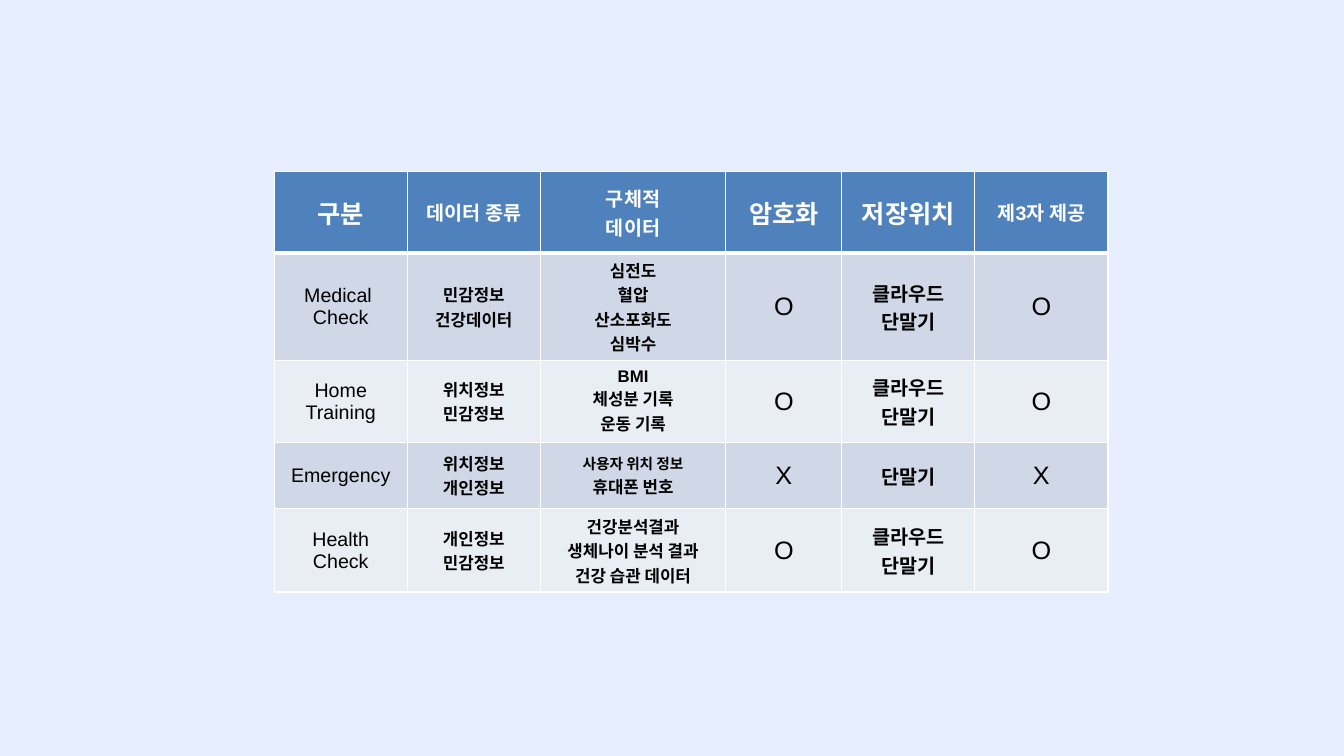
from lxml import etree
from pptx import Presentation
from pptx.dml.color import RGBColor
from pptx.enum.text import MSO_ANCHOR, PP_ALIGN
from pptx.oxml.ns import qn
from pptx.util import Inches, Pt

CENTER = PP_ALIGN.CENTER
MIDDLE = MSO_ANCHOR.MIDDLE

BACKGROUND, HEADER = "E7EEFF", "4F81BD"
BANDS = ("D0D8E8", "E9EDF4")
WHITE, BLACK = "FFFFFF", "000000"

COL_WIDTHS = (1.32, 1.32, 1.84, 1.15, 1.32, 1.32)
ROW_HEIGHTS = (0.81, 0.81, 0.81, 0.66, 0.81)
HEADER_SIZES = (18, 14, 14, 18, 18, 14)
BODY_SIZES = (14, 12, 12, 18, 14, 18)
BODY_BOLD = (False, True, True, False, True, False)
SPECIAL_SIZES = {"사용자 위치 정보": 10.5}

ROWS = (
    ("구분", "데이터 종류", "구체적\n데이터", "암호화", "저장위치", "제3자 제공"),
    ("Medical \nCheck", "민감정보\n건강데이터", "심전도\n혈압\n산소포화도\n심박수",
     "O", "클라우드\n단말기", "O"),
    ("Home\nTraining", "위치정보\n민감정보", "BMI\n체성분 기록\n운동 기록",
     "O", "클라우드\n단말기", "O"),
    ("Emergency", "위치정보\n개인정보", "사용자 위치 정보\n휴대폰 번호",
     "X", "단말기", "X"),
    ("Health\nCheck", "개인정보\n민감정보", "건강분석결과\n생체나이 분석 결과\n건강 습관 데이터",
     "O", "클라우드\n단말기", "O"),
)


def rgb(value):
    return RGBColor.from_string(value)


class SlideBuilder:
    font = "Arial"

    def __init__(self, prs):
        self.s = prs.slides.add_slide(prs.slide_layouts[6])

    def background(self, color):
        fill = self.s.background.fill
        fill.solid()
        fill.fore_color.rgb = rgb(color)

    def borders(self, cell, top, bottom):
        tcPr = cell._tc.get_or_add_tcPr()
        for side, width in (("L", 1), ("R", 1), ("T", top), ("B", bottom)):
            ln = etree.SubElement(tcPr, qn(f"a:ln{side}"), w=str(Pt(width)))
            fill = etree.SubElement(ln, qn("a:solidFill"))
            etree.SubElement(fill, qn("a:srgbClr"), val=WHITE)

    def cell(self, cell, text, size, bold, color, fill):
        cell.fill.solid()
        cell.fill.fore_color.rgb = rgb(fill)
        cell.vertical_anchor = MIDDLE
        tf = cell.text_frame
        tf.text = text
        for p in tf.paragraphs:
            p.alignment = CENTER
            p.font.name = self.font
            p.font.size = Pt(SPECIAL_SIZES.get(p.text, size))
            p.font.bold = bold
            p.font.color.rgb = rgb(color)

    def table(self, left, top, rows):
        frame = self.s.shapes.add_table(
            len(rows), len(COL_WIDTHS), Inches(left), Inches(top),
            Inches(sum(COL_WIDTHS)), Inches(sum(ROW_HEIGHTS)))
        table = frame.table
        for column, width in zip(table.columns, COL_WIDTHS):
            column.width = Inches(width)
        for row, height in zip(table.rows, ROW_HEIGHTS):
            row.height = Inches(height)
        for i, texts in enumerate(rows):
            for j, text in enumerate(texts):
                cell = table.cell(i, j)
                self.borders(cell, 3 if i == 1 else 1, 3 if i == 0 else 1)
                if i == 0:
                    self.cell(cell, text, HEADER_SIZES[j], True, WHITE, HEADER)
                else:
                    self.cell(cell, text, BODY_SIZES[j], BODY_BOLD[j], BLACK,
                              BANDS[(i - 1) % 2])


def main():
    prs = Presentation()
    prs.slide_width = Inches(13.33)
    prs.slide_height = Inches(7.5)
    slide = SlideBuilder(prs)
    slide.background(BACKGROUND)
    slide.table(2.72, 1.7, ROWS)
    prs.save("out.pptx")


if __name__ == "__main__":
    main()
